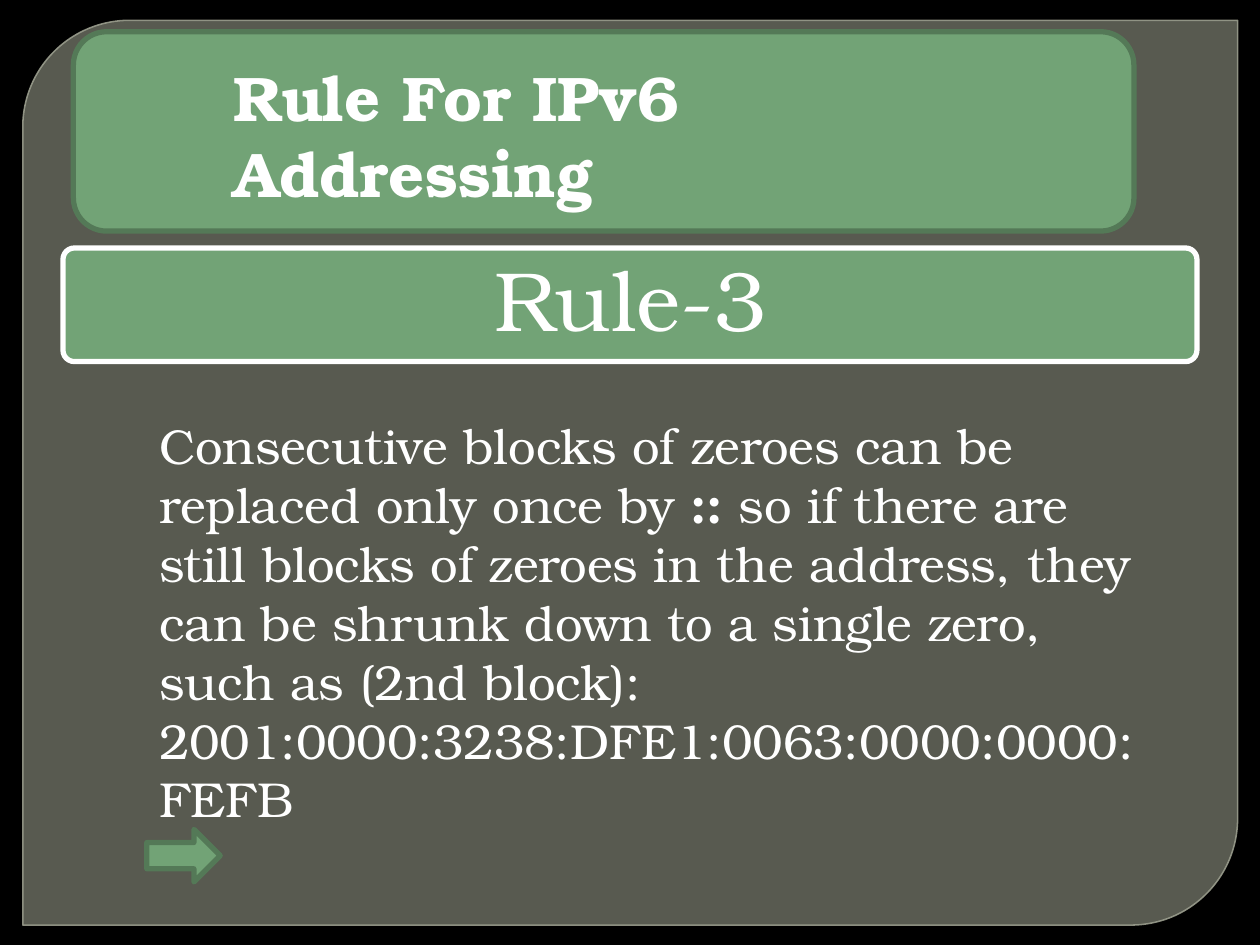
from lxml.etree import SubElement
from pptx import Presentation
from pptx.dml.color import RGBColor
from pptx.enum.shapes import MSO_SHAPE as Preset
from pptx.enum.text import MSO_ANCHOR as Anchor, PP_ALIGN as Align
from pptx.oxml.ns import qn
from pptx.util import Cm, Pt

COLORS = {
    "background": "000000",
    "panel": "888B7B",
    "panel_edge": "9DA090",
    "green": "72A376",
    "dark_green": "547957",
    "white": "FFFFFF",
}


class Deck:
    """Holds the style and the current slide."""

    font = "TeX Gyre Bonum"

    def __init__(self, slide):
        """Start on a slide and paint its background."""
        self.slide = slide
        self.paint(slide.background.fill, "background")

    def paint(self, fill, color, alpha=None):
        """Make a fill solid, optionally with an opacity in percent."""
        fill.solid()
        fill.fore_color.rgb = RGBColor.from_string(COLORS[color])
        return alpha

    def fade(self, part, alpha):
        """Set the opacity in percent of a solid fill inside an element."""
        color = part.find(qn("a:solidFill"))[0]
        SubElement(color, qn("a:alpha")).set("val", str(alpha * 1000))

    def shape(self, preset, box, fill, edge, weight=3, adjust=()):
        """Add a preset shape with a fill and an outline."""
        shape = self.slide.shapes.add_shape(preset, *map(Cm, box))
        shape.shadow.inherit = False
        self.paint(shape.fill, fill)
        self.paint(shape.line.fill, edge)
        shape.line.width = Pt(weight)
        for index, value in enumerate(adjust):
            shape.adjustments[index] = value
        return shape

    def text(self, box, paragraphs, size, align=Align.LEFT,
             anchor=Anchor.TOP, spacing=None):
        """Add a text box; each paragraph is a list of (text, bold) runs."""
        frame = self.slide.shapes.add_textbox(*map(Cm, box)).text_frame
        frame.word_wrap = True
        frame.vertical_anchor = anchor
        for index, runs in enumerate(paragraphs):
            paragraph = frame.add_paragraph() if index else frame.paragraphs[0]
            paragraph.alignment = align
            if spacing:
                paragraph.line_spacing = spacing
            for words, bold in runs:
                run = paragraph.add_run()
                run.text = words
                run.font.name = self.font
                run.font.size = Pt(size)
                run.font.bold = bold
                run.font.color.rgb = RGBColor.from_string(COLORS["white"])


def build():
    """Build the slide and save it."""
    show = Presentation()
    show.slide_width, show.slide_height = Cm(25.4), Cm(19.05)
    deck = Deck(show.slides.add_slide(show.slide_layouts[6]))

    panel = deck.shape(Preset.ROUND_2_DIAG_RECTANGLE, (0.46, 0.41, 24.49, 18.24),
                       "panel", "panel_edge", 0.87, (0.118, 0))
    properties = panel.fill._xPr
    deck.fade(properties, 65)
    deck.fade(properties.find(qn("a:ln")), 88)

    deck.shape(Preset.ROUNDED_RECTANGLE, (1.27, 5, 22.86, 2.29),
               "green", "white", adjust=[0.1])
    deck.text((1.34, 5.06, 22.73, 2.16), [[("Rule-3", False)]], 48,
              Align.CENTER, Anchor.MIDDLE, 0.9)

    deck.shape(Preset.ROUNDED_RECTANGLE, (1.48, 0.64, 21.38, 4.02),
               "green", "dark_green")
    deck.text((4.45, 1.06, 17.14, 3.33),
              [[("Rule For IPv6 Addressing", True)]], 36)

    deck.text((2.96, 8.26, 20.53, 8.5), [
        [("Consecutive blocks of zeroes can be replaced only once by ", False),
         ("::", True),
         (" so if there are still blocks of zeroes in the address, they can "
          "be shrunk down to a single zero, such as (2nd block):", False)],
        [("2001:0000:3238:DFE1:0063:0000:0000:FEFB", False)],
    ], 28)
    deck.shape(Preset.RIGHT_ARROW, (2.96, 16.72, 1.48, 1.06),
               "green", "dark_green")

    show.save("out.pptx")


build()
